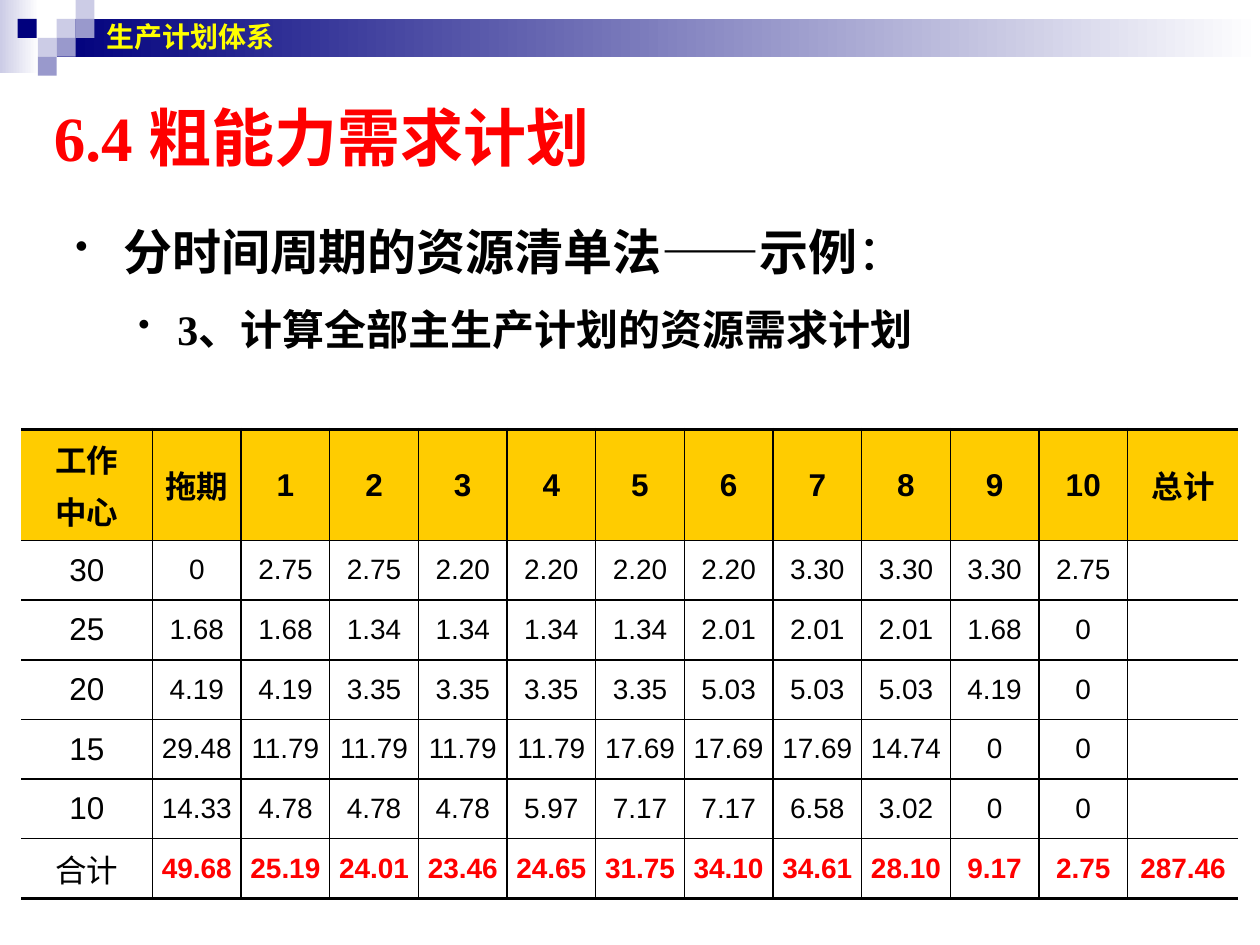
from lxml import etree
from pptx import Presentation
from pptx.dml.color import RGBColor
from pptx.enum import shapes, text
from pptx.oxml import ns
from pptx.util import Inches, Pt

NAVY = RGBColor(0x00, 0x00, 0x7D)
PALE = RGBColor(0xCC, 0xCC, 0xE6)
LILAC = RGBColor(0x99, 0x99, 0xCC)
WHITE = RGBColor(0xFF, 0xFF, 0xFF)
BLACK = RGBColor(0x00, 0x00, 0x00)
RED = RGBColor(0xFF, 0x00, 0x00)
YELLOW = RGBColor(0xFF, 0xFF, 0x00)
GOLD = RGBColor(0xFF, 0xCC, 0x00)

SERIF = "Times New Roman"
SANS = "Arial"

SQUARE = 0.15
SQUARES = [
    (0.45, 0.15, PALE), (0.6, 0, PALE), (0.6, 0.15, LILAC), (0.3, 0.3, PALE),
    (0.14, 0.15, NAVY), (0.45, 0.3, LILAC), (0.3, 0.45, LILAC),
]

TABLE_WIDTH, TABLE_HEIGHT = 9.66, 3.72
CENTER_WIDTH, TOTAL_WIDTH, HEADER_HEIGHT = 1.04, 0.88, 0.88
LOADS = [
    ["工作\n中心", "拖期", *map(str, range(1, 11)), "总计"],
    "30 0 2.75 2.75 2.20 2.20 2.20 2.20 3.30 3.30 3.30 2.75".split() + [""],
    "25 1.68 1.68 1.34 1.34 1.34 1.34 2.01 2.01 2.01 1.68 0".split() + [""],
    "20 4.19 4.19 3.35 3.35 3.35 3.35 5.03 5.03 5.03 4.19 0".split() + [""],
    "15 29.48 11.79 11.79 11.79 11.79 17.69 17.69 17.69 14.74 0 0".split() + [""],
    "10 14.33 4.78 4.78 4.78 5.97 7.17 7.17 6.58 3.02 0 0".split() + [""],
    "合计 49.68 25.19 24.01 23.46 24.65 31.75 34.10 34.61 28.10 9.17 2.75 287.46".split(),
]


def add_block(page, left, top, width, height, color, fade=False):
    block = page.shapes.add_shape(
        shapes.MSO_SHAPE.RECTANGLE,
        Inches(left), Inches(top), Inches(width), Inches(height))
    block.shadow.inherit = False
    block.line.fill.background()
    if fade:
        block.fill.gradient()
        block.fill.gradient_angle = 0
        for stop, shade in zip(block.fill.gradient_stops, (color, WHITE)):
            stop.color.rgb = shade
    else:
        block.fill.solid()
        block.fill.fore_color.rgb = color


def style(para, name, size, color, bold=True):
    font = para.font
    font.name, font.size, font.bold = name, Pt(size), bold
    font.color.rgb = color


def add_box(page, left, top, width, height, anchor=text.MSO_ANCHOR.MIDDLE):
    box = page.shapes.add_textbox(
        Inches(left), Inches(top), Inches(width), Inches(height))
    box.text_frame.word_wrap = True
    box.text_frame.vertical_anchor = anchor
    return box.text_frame


def add_heading(page, place, words, name, size, color):
    para = add_box(page, *place).paragraphs[0]
    para.text = words
    style(para, name, size, color)


def add_bullet(para, margin, indent, percent):
    props = para._p.get_or_add_pPr()
    props.set("marL", str(Inches(margin)))
    props.set("indent", str(Inches(-indent)))
    color = etree.SubElement(props, ns.qn("a:buClr"))
    etree.SubElement(color, ns.qn("a:srgbClr"), val=str(BLACK))
    etree.SubElement(props, ns.qn("a:buSzPct"), val=str(percent * 1000))
    etree.SubElement(props, ns.qn("a:buChar"), char="•")


def add_outline(page):
    frame = add_box(page, 0.5, 1.5, 9.17, 1.42, text.MSO_ANCHOR.TOP)
    topic, step = frame.paragraphs[0], frame.add_paragraph()
    step.level = 1
    levels = [
        (topic, "分时间周期的资源清单法——示例", 0.38, 0.38, 75, 28),
        (step, "3、计算全部主生产计划的资源需求计划", 0.81, 0.31, 80, 24),
    ]
    for para, words, margin, indent, percent, size in levels:
        para.line_spacing = 1.45
        add_bullet(para, margin, indent, percent)
        para.add_run().text = words
        style(para, SERIF, size, BLACK)
    colon = topic.add_run()
    colon.text = "："
    colon.font.bold = False


def set_border(cell, side, points):
    line = etree.SubElement(
        cell._tc.get_or_add_tcPr(), ns.qn("a:ln" + side), w=str(Pt(points)))
    if points:
        fill = etree.SubElement(line, ns.qn("a:solidFill"))
        etree.SubElement(fill, ns.qn("a:srgbClr"), val=str(BLACK))
    else:
        etree.SubElement(line, ns.qn("a:noFill"))


def fill_cell(cell, words, row, column, last_row, last_column):
    header, total = row == 0, row == last_row
    figure = column > 0 and not header
    set_border(cell, "L", 1 if column else 0)
    set_border(cell, "R", 1 if column < last_column else 0)
    set_border(cell, "T", 2.25 if header else 1)
    set_border(cell, "B", 2.25 if total else 1)
    if header:
        cell.fill.solid()
        cell.fill.fore_color.rgb = GOLD
    else:
        cell.fill.background()
    cell.margin_left = cell.margin_right = Inches(0.04)
    cell.margin_top = cell.margin_bottom = Inches(0.05)
    cell.vertical_anchor = text.MSO_ANCHOR.MIDDLE
    cell.text = words
    for index, para in enumerate(cell.text_frame.paragraphs):
        para.alignment = text.PP_ALIGN.CENTER
        if index:
            para.space_before = Pt(3.6)
        style(para, SANS, 16 if figure else 18,
              RED if figure and total else BLACK, header or (figure and total))


def add_load_table(page):
    last_row, last_column = len(LOADS) - 1, len(LOADS[0]) - 1
    table = page.shapes.add_table(
        last_row + 1, last_column + 1, Inches(0.17), Inches(3.41),
        Inches(TABLE_WIDTH), Inches(TABLE_HEIGHT)).table
    table.first_row = table.horz_banding = False
    period = (TABLE_WIDTH - CENTER_WIDTH - TOTAL_WIDTH) / (last_column - 1)
    widths = [CENTER_WIDTH] + [period] * (last_column - 1) + [TOTAL_WIDTH]
    for column, width in zip(table.columns, widths):
        column.width = Inches(width)
    heights = [HEADER_HEIGHT] + [(TABLE_HEIGHT - HEADER_HEIGHT) / last_row] * last_row
    for row, height in zip(table.rows, heights):
        row.height = Inches(height)
    for row, values in enumerate(LOADS):
        for column, words in enumerate(values):
            fill_cell(table.cell(row, column), words, row, column,
                      last_row, last_column)


def main():
    deck = Presentation()
    deck.slide_width, deck.slide_height = Inches(10), Inches(7.5)
    page = deck.slides.add_slide(deck.slide_layouts[6])
    add_block(page, 0, 0, 0.31, 0.58, PALE, fade=True)
    add_block(page, 0.45, 0.15, 9.55, 0.3, NAVY, fade=True)
    for left, top, color in SQUARES:
        add_block(page, left, top, SQUARE, SQUARE, color)
    add_heading(page, (0.33, 0.75, 9, 0.67), "6.4 粗能力需求计划", SERIF, 36, RED)
    add_outline(page)
    add_heading(page, (0.75, 0, 8.83, 0.58), "生产计划体系", SANS, 16, YELLOW)
    add_load_table(page)
    deck.save("out.pptx")


if __name__ == "__main__":
    main()
